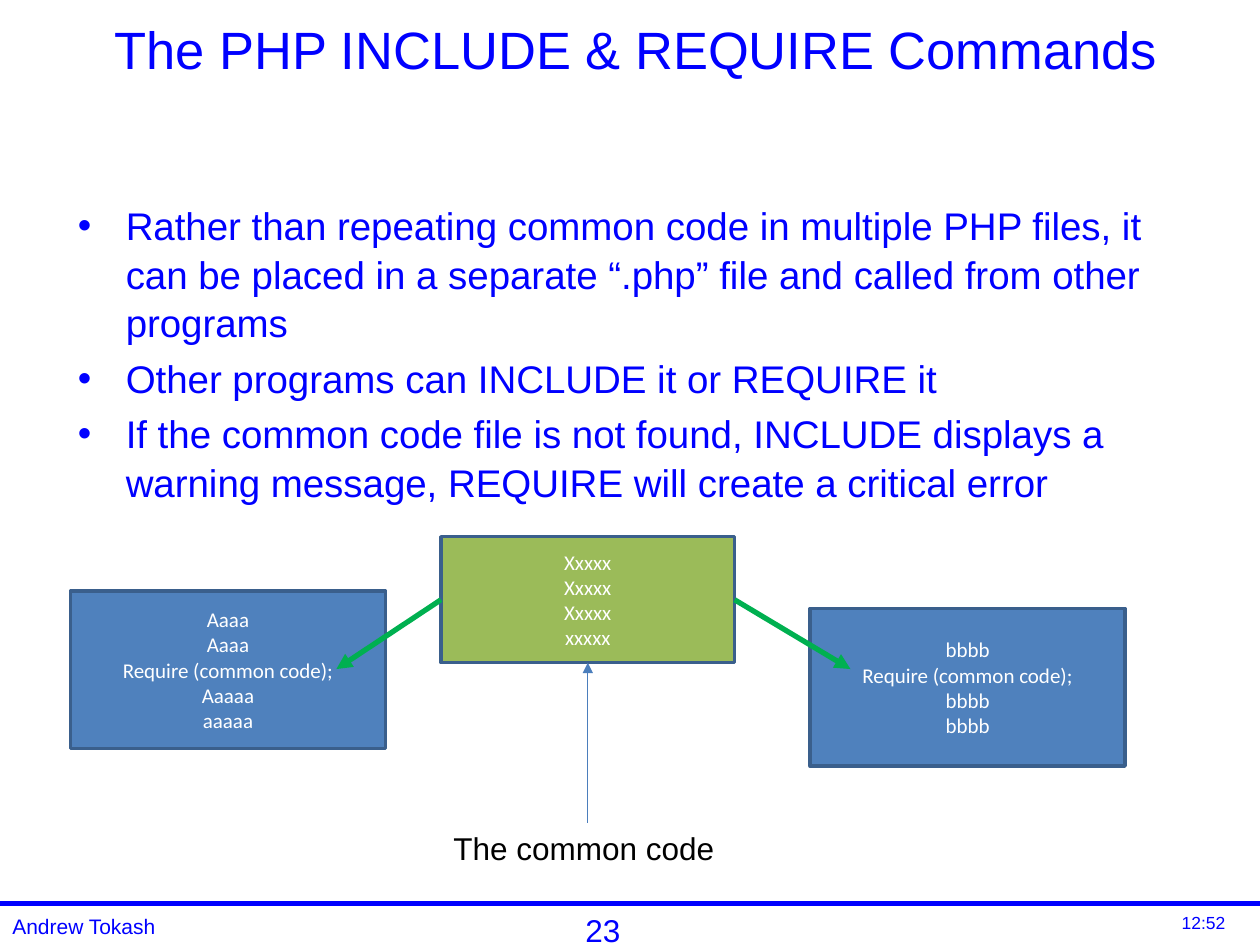
from pptx import Presentation
from pptx.dml.color import RGBColor
from pptx.enum.shapes import MSO_CONNECTOR, MSO_SHAPE
from pptx.enum.text import MSO_ANCHOR, PP_ALIGN
from pptx.oxml.ns import qn
from pptx.util import Inches, Pt
from lxml.etree import SubElement

COLORS = {
    "text": "0000FF", "caption": "000000", "white": "FFFFFF",
    "common": "9BBB59", "program": "4F81BD", "border": "3A5F8C",
    "include": "00B050", "pointer": "4B7EBC",
}


def color(name):
    return RGBColor.from_string(COLORS[name])


def write(tf, text, size=12, font="Arial", fill="text", align=PP_ALIGN.LEFT,
          anchor=MSO_ANCHOR.TOP, bullet=False):
    tf.word_wrap = True
    tf.vertical_anchor = anchor
    for i, line in enumerate(text.split("\n")):
        p = tf.paragraphs[0] if i == 0 else tf.add_paragraph()
        p.alignment = align
        r = p.add_run()
        r.text = line
        r.font.size = Pt(size)
        r.font.name = font
        r.font.color.rgb = color(fill)
        if bullet:
            p.space_before = Pt(4)
            p.line_spacing = 1.05
            pPr = p._p.get_or_add_pPr()
            pPr.set("marL", str(Inches(0.38)))
            pPr.set("indent", str(Inches(-0.38)))
            SubElement(pPr, qn("a:buFont"), typeface="Arial")
            SubElement(pPr, qn("a:buChar"), char="•")


class SlideBuilder:
    def __init__(self, s):
        self.s = s

    def text(self, x, y, w, h, text, **fmt):
        sp = self.s.shapes.add_textbox(Inches(x), Inches(y), Inches(w), Inches(h))
        write(sp.text_frame, text, **fmt)
        return sp

    def box(self, x, y, w, h, text, fill):
        sp = self.s.shapes.add_shape(
            MSO_SHAPE.RECTANGLE, Inches(x), Inches(y), Inches(w), Inches(h))
        sp.shadow.inherit = False
        sp.fill.solid()
        sp.fill.fore_color.rgb = color(fill)
        sp.line.color.rgb = color("border")
        sp.line.width = Pt(2)
        write(sp.text_frame, text, font="Calibri", fill="white",
              align=PP_ALIGN.CENTER, anchor=MSO_ANCHOR.MIDDLE)
        return sp

    def line(self, x1, y1, x2, y2, fill, width, arrow=True, begin=None, end=None):
        c = self.s.shapes.add_connector(
            MSO_CONNECTOR.STRAIGHT, Inches(x1), Inches(y1), Inches(x2), Inches(y2))
        c.line.color.rgb = color(fill)
        c.line.width = Pt(width)
        if arrow:
            SubElement(c.line._get_or_add_ln(), qn("a:tailEnd"), type="triangle")
        SubElement(c._element.spPr, qn("a:effectLst"))
        if begin:
            c.begin_connect(*begin)
        if end:
            c.end_connect(*end)


def main():
    prs = Presentation()
    prs.slide_width, prs.slide_height = Inches(10), Inches(7.5)
    b = SlideBuilder(prs.slides.add_slide(prs.slide_layouts[6]))

    b.line(0, 7.17, 10, 7.17, "text", 2.75, arrow=False)
    b.text(3.7, 7.18, 2.17, 0.4, "23", size=18, align=PP_ALIGN.CENTER)
    b.text(0, 7.2, 2.17, 0.3, "Andrew Tokash")
    b.text(9.28, 7.19, 0.82, 0.3, "12:52", size=10)

    b.text(0.55, 0.02, 9, 0.73, "The PHP INCLUDE & REQUIRE Commands", size=30,
           align=PP_ALIGN.CENTER, anchor=MSO_ANCHOR.MIDDLE)
    b.text(0.52, 1.54, 9, 5.43,
           "Rather than repeating common code in multiple PHP files, it can be "
           "placed in a separate “.php” file and called from other programs\n"
           "Other programs can INCLUDE it or REQUIRE it\n"
           "If the common code file is not found, INCLUDE displays a warning "
           "message, REQUIRE will create a critical error",
           size=22, bullet=True)

    common = b.box(3.5, 4.26, 2.33, 1, "Xxxxx\nXxxxx\nXxxxx\nxxxxx", "common")
    b.box(0.56, 4.69, 2.5, 1.25,
          "Aaaa\nAaaa\nRequire (common code);\nAaaaa\naaaaa", "program")
    b.box(6.43, 4.83, 2.5, 1.25,
          "bbbb\nRequire (common code);\nbbbb\nbbbb", "program")
    b.line(3.5, 4.76, 2.67, 5.31, "include", 3, begin=(common, 1))
    b.line(5.83, 4.76, 6.75, 5.31, "include", 3, begin=(common, 3))

    caption = b.text(3.5, 6.53, 2.33, 0.4, "The common code", size=18, fill="caption")
    b.line(4.67, 6.53, 4.67, 5.26, "pointer", 0.75,
           begin=(caption, 0), end=(common, 2))

    prs.save("out.pptx")


if __name__ == "__main__":
    main()
